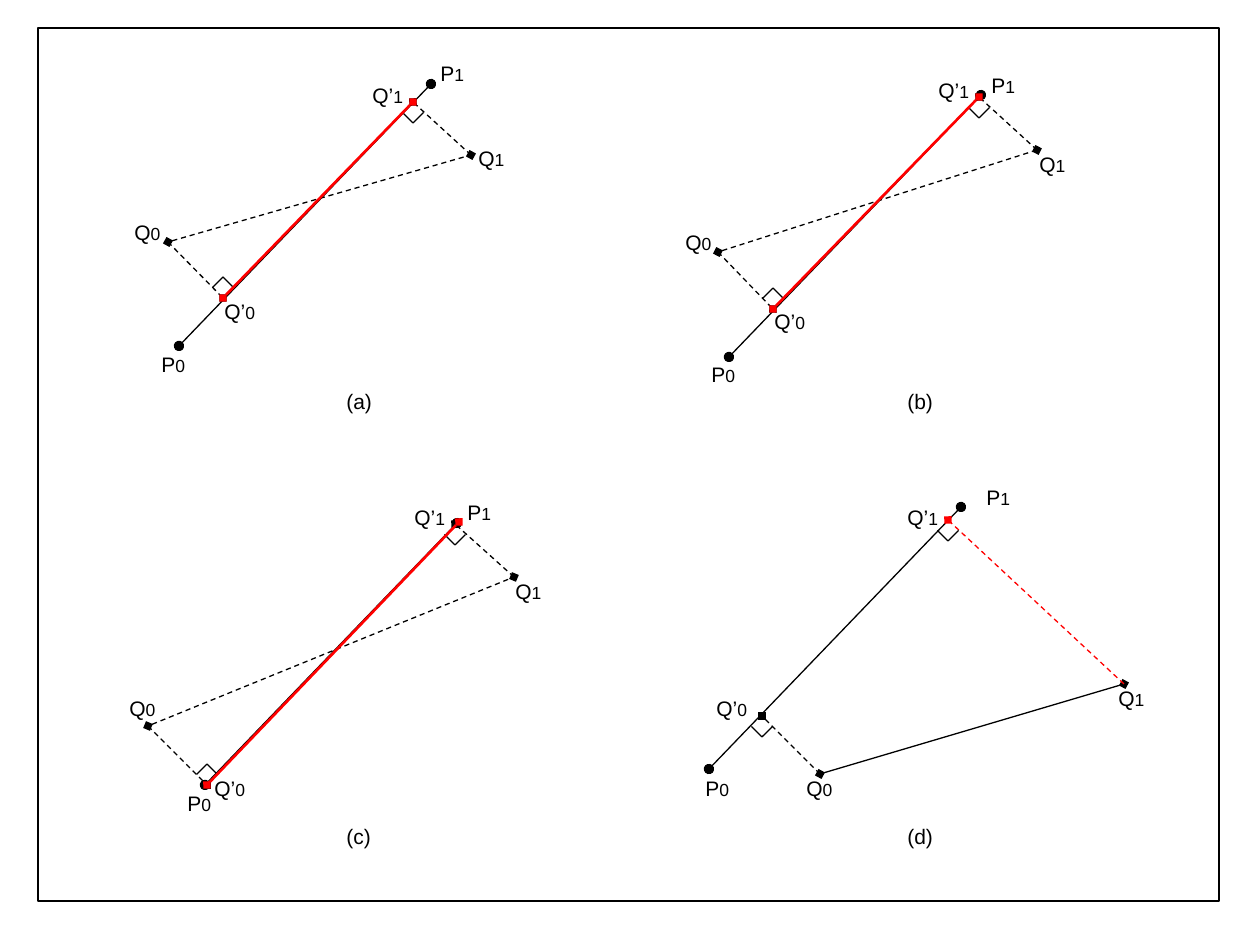
from pptx import Presentation
from pptx import util as u
from pptx.dml.color import RGBColor
from pptx.enum import dml, shapes, text
from pptx.oxml.ns import qn
from lxml import etree

BLACK, RED = "000000", "FF0000"
NAMES = ("P0", "P1", "Q0", "Q1", "Q’0", "Q’1")
LEFT, TOP, STEP_X, STEP_Y = 38, 28, 561, 435


def px(n):
    """Turn pixels into EMU."""
    return round(n * 914400 / 126)


def hue(code):
    """Turn a hex string into a colour."""
    return RGBColor.from_string(code)


def line(slide, box, start, end, color=BLACK, width=0.75, dash=False, head=None, tail=None):
    """Draw a line between two points of the box."""
    ends = [px(a + b) for spot in (start, end) for a, b in zip(box, spot)]
    link = slide.shapes.add_connector(shapes.MSO_CONNECTOR.STRAIGHT, *ends)
    link.line.color.rgb = hue(color)
    link.line.width = u.Pt(width)
    if dash:
        link.line.dash_style = dml.MSO_LINE.DASH
    pen = link.line._get_or_add_ln()
    for tag, kind in (("a:headEnd", head), ("a:tailEnd", tail)):
        if kind:
            etree.SubElement(pen, qn(tag), type=kind)
    etree.SubElement(link._element.spPr, qn("a:effectLst"))


def label(slide, box, spot, words, before, sub=""):
    """Write a label with an optional smaller index."""
    left, top = (px(a + b) for a, b in zip(box, spot))
    area = slide.shapes.add_textbox(left, top, px(64), px(38))
    frame = area.text_frame
    frame.word_wrap = True
    frame.auto_size = text.MSO_AUTO_SIZE.SHAPE_TO_FIT_TEXT
    para = frame.paragraphs[0]
    para.space_before = u.Pt(before)
    para.font.name = "Arial"
    para.font.color.rgb = hue(BLACK)
    for part, size in ((words, 12), (sub, 10)):
        if part:
            run = para.add_run()
            run.text = part
            run.font.size = u.Pt(size)


def mark(slide, box, foot, way):
    """Draw a right-angle mark below (1) or above (-1) a foot point."""
    x, y = foot
    tip = (x, y + 21 * way)
    for side in (-10.5, 10.5):
        line(slide, box, (x + side, y + 10.5 * way), tip)


def panel(slide, box, name, spots, labels, shared=True, tip=None):
    """Draw one case of a segment projected onto a line."""
    p0, p1, q0, q1, f0, f1 = spots
    line(slide, box, p0, p1, head="oval", tail="oval")
    line(slide, box, q0, q1, dash=shared, head="diamond", tail="diamond")
    line(slide, box, q0, f0, dash=True, tail="diamond")
    line(slide, box, q1, f1, BLACK if shared else RED, dash=True, tail="diamond")
    mark(slide, box, f1, 1)
    mark(slide, box, f0, -1 if shared else 1)
    for words, spot in zip(NAMES, labels):
        label(slide, box, spot, words[:-1], 6.2, words[-1])
    label(slide, box, (296, 354), f"({name})", 7.5)
    if shared:
        line(slide, box, f0, tip or f1, RED, 1.5, head="diamond", tail="diamond")


def border(slide, left, top, width, height):
    """Draw the outer frame."""
    rect = slide.shapes.add_shape(shapes.MSO_SHAPE.RECTANGLE, px(left), px(top), px(width), px(height))
    rect.shadow.inherit = False
    rect.fill.background()
    rect.line.color.rgb = hue(BLACK)
    rect.line.width = u.Pt(1.5)


CASES = [
    dict(name="a",
         spots=[(141, 318), (393, 56), (130, 214), (433, 127), (185, 270), (375, 74)],
         labels=[(111, 317), (390, 26), (84, 185), (428, 111), (174, 264), (322, 48)]),
    dict(name="b",
         spots=[(130, 329), (382, 67), (119, 224), (438, 122), (174, 281), (380, 69)],
         labels=[(100, 327), (380, 38), (74, 195), (428, 117), (163, 274), (327, 43)]),
    dict(name="c", tip=(421, 59),
         spots=[(167, 322), (419, 60), (110, 263), (476, 114), (169, 322), (417, 61)],
         labels=[(137, 321), (417, 30), (79, 226), (465, 109), (164, 306), (364, 35)]),
    dict(name="d", shared=False,
         spots=[(110, 306), (362, 44), (221, 311), (525, 221), (163, 253), (349, 57)],
         labels=[(94, 306), (375, 15), (195, 306), (507, 216), (105, 226), (296, 35)]),
]


def main():
    """Build the slide and save it."""
    deck = Presentation()
    deck.slide_width, deck.slide_height = px(1260), px(945)
    slide = deck.slides.add_slide(deck.slide_layouts[6])
    border(slide, LEFT, TOP, 1181, 873)
    for i, case in enumerate(CASES):
        row, col = divmod(i, 2)
        panel(slide, (LEFT + col * STEP_X, TOP + row * STEP_Y), **case)
    deck.save("out.pptx")


if __name__ == "__main__":
    main()
